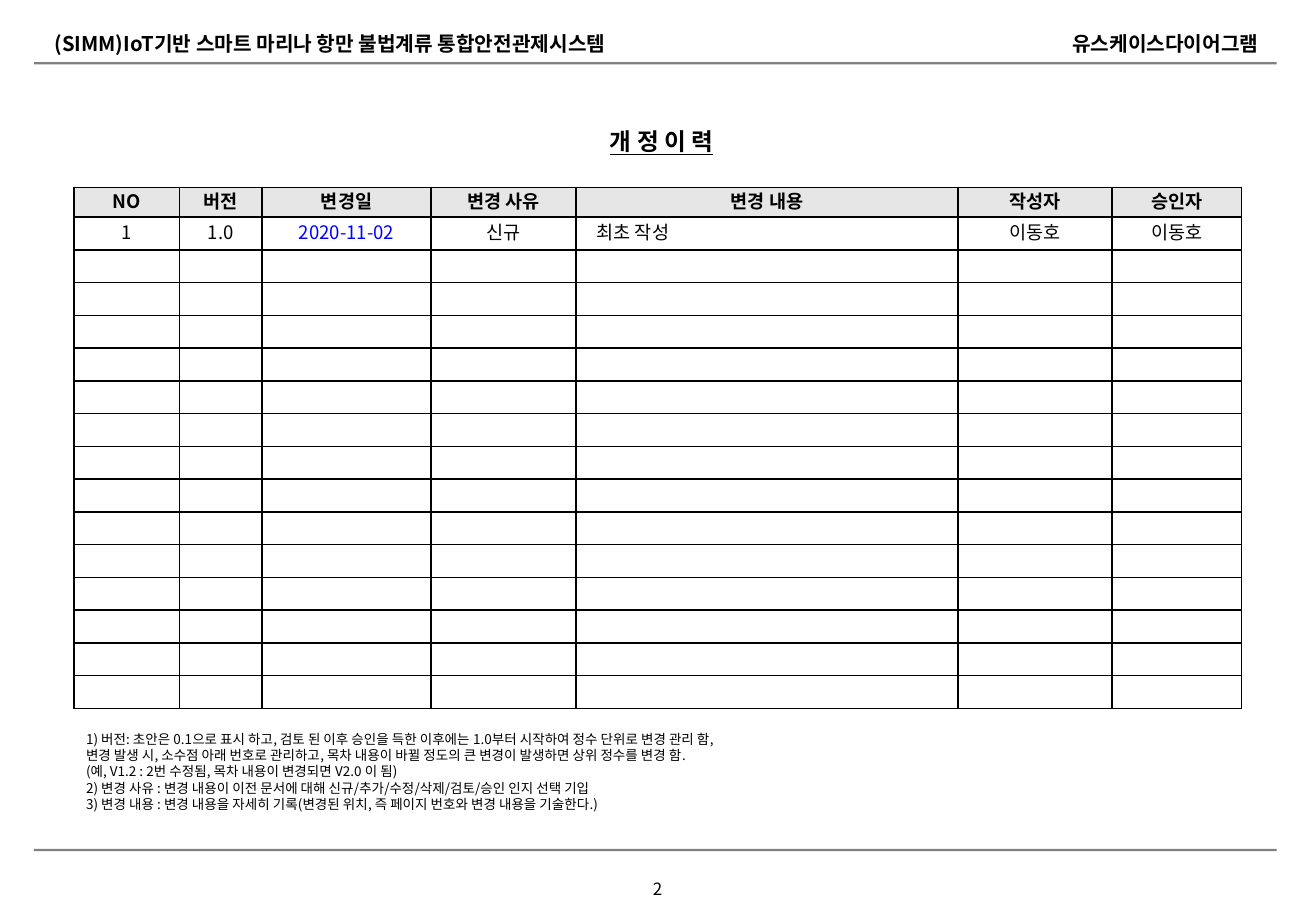
from lxml.etree import SubElement as Sub
from pptx import Presentation
from pptx.dml.color import RGBColor as Rgb
from pptx.enum.shapes import MSO_SHAPE as Shape
from pptx.enum.text import MSO_ANCHOR as Anchor, PP_ALIGN as Align
from pptx.oxml.ns import qn
from pptx.util import Cm, Pt

FONT = "Noto Sans CJK KR"
HUES = {"ink": "000000", "rule": "808080", "head": "E6E6E6", "date": "0000FF"}
LEADING = 1.2

COLS = [2.2, 1.73, 3.53, 3.03, 7.99, 3.22, 2.7]
HEADS = ["NO", "버전", "변경일", "변경 사유", "변경 내용", "작성자", "승인자"]
FIRST = ["1", "1.0", "2020-11-02", "신규", "최초 작성", "이동호", "이동호"]
BLANKS = 14
HEAD_H, ROW_H = 0.62, 0.685
DATE_COL, BODY_COL = 2, 4

NOTES = [
    "1) 버전: 초안은 0.1으로 표시 하고, 검토 된 이후 승인을 득한 이후에는 1.0부터 시작하여 정수 단위로 변경 관리 함,",
    "변경 발생 시, 소수점 아래 번호로 관리하고, 목차 내용이 바뀔 정도의 큰 변경이 발생하면 상위 정수를 변경 함.",
    "(예, V1.2 : 2번 수정됨, 목차 내용이 변경되면 V2.0 이 됨)",
    "2) 변경 사유 : 변경 내용이 이전 문서에 대해 신규/추가/수정/삭제/검토/승인 인지 선택 기입",
    "3) 변경 내용 : 변경 내용을 자세히 기록(변경된 위치, 즉 페이지 번호와 변경 내용을 기술한다.)",
]


def rgb(hue):
    return Rgb.from_string(HUES[hue])


def write(frame, text, size=11, bold=False, line=False, hue="ink", align=Align.LEFT):
    """Fill a text frame, one paragraph per line of text."""
    for i, part in enumerate(text.split("\n")):
        para = frame.add_paragraph() if i else frame.paragraphs[0]
        para.alignment = align
        para.line_spacing = Pt(round(size * LEADING, 1))
        if not part:
            Sub(para._p, qn("a:endParaRPr"), sz=str(size * 100))
            continue
        run = para.add_run()
        run.text = part
        font = run.font
        font.name, font.size, font.bold, font.underline = FONT, Pt(size), bold, line
        font.color.rgb = rgb(hue)
        Sub(run._r.get_or_add_rPr(), qn("a:ea"), typeface=FONT)


def border(cell, width=1):
    props = cell._tc.get_or_add_tcPr()
    for i, side in enumerate(("lnL", "lnR", "lnT", "lnB")):
        edge = props.makeelement(qn(f"a:{side}"), {"w": str(Pt(width))})
        props.insert(i, edge)
        Sub(Sub(edge, qn("a:solidFill")), qn("a:srgbClr"), val=HUES["ink"])


class Page:
    """Draws styled elements on one slide; lengths are in centimetres."""

    def __init__(self, slide):
        self.shapes = slide.shapes

    def text(self, box, text, anchor=Anchor.TOP, wrap=True, **style):
        frame = self.shapes.add_textbox(*map(Cm, box)).text_frame
        frame.word_wrap = wrap
        frame.vertical_anchor = anchor
        write(frame, text, **style)

    def rule(self, top):
        bar = self.shapes.add_shape(Shape.RECTANGLE, Cm(0.71), Cm(top), Cm(25.98), Cm(0.05))
        bar.shadow.inherit = False
        bar.fill.solid()
        bar.fill.fore_color.rgb = rgb("rule")
        bar.line.fill.background()

    def cell(self, cell, text, head, **style):
        cell.margin_left = cell.margin_right = Cm(0.18)
        cell.margin_top = cell.margin_bottom = 0
        cell.vertical_anchor = Anchor.MIDDLE
        if head:
            cell.fill.solid()
            cell.fill.fore_color.rgb = rgb("head")
        else:
            cell.fill.background()
        border(cell)
        write(cell.text_frame, text, bold=head, **style)

    def table(self, left, top, rows):
        high = HEAD_H + ROW_H * (len(rows) - 1)
        grid = self.shapes.add_table(
            len(rows), len(COLS), Cm(left), Cm(top), Cm(sum(COLS)), Cm(high)).table
        for col, width in zip(grid.columns, COLS):
            col.width = Cm(width)
        for r, row in enumerate(rows):
            head = r == 0
            grid.rows[r].height = Cm(HEAD_H if head else ROW_H)
            for c, text in enumerate(row):
                body = c == BODY_COL and not head
                cell = grid.cell(r, c)
                self.cell(cell, text, head,
                          hue="date" if c == DATE_COL and not head else "ink",
                          align=Align.LEFT if body else Align.CENTER)
                if body:
                    cell.margin_left = Cm(0.43)


def main():
    deck = Presentation()
    deck.slide_width, deck.slide_height = Cm(27.51), Cm(19.05)
    page = Page(deck.slides.add_slide(deck.slide_layouts[6]))

    page.text((13.26, 18.24, 0.97, 0.69), "2", wrap=False, size=10, align=Align.CENTER)
    for top in (17.75, 1.3):
        page.rule(top)
    page.text((13.56, 0.53, 13, 0.76), "유스케이스다이어그램",
              size=12, bold=True, align=Align.RIGHT)
    page.text((0.89, 0.53, 18.34, 0.76),
              "(SIMM)IoT기반 스마트 마리나 항만 불법계류 통합안전관제시스템", size=12, bold=True)
    page.text((11.43, 2.54, 4.8, 0.84), "개 정 이 력", anchor=Anchor.MIDDLE,
              size=14, bold=True, line=True, align=Align.CENTER)
    page.table(1.55, 3.92, [HEADS, FIRST] + [[""] * len(COLS)] * BLANKS)
    page.text((1.55, 15.16, 24.41, 1.96), "\n".join(NOTES), size=8)

    deck.save("out.pptx")


if __name__ == "__main__":
    main()
